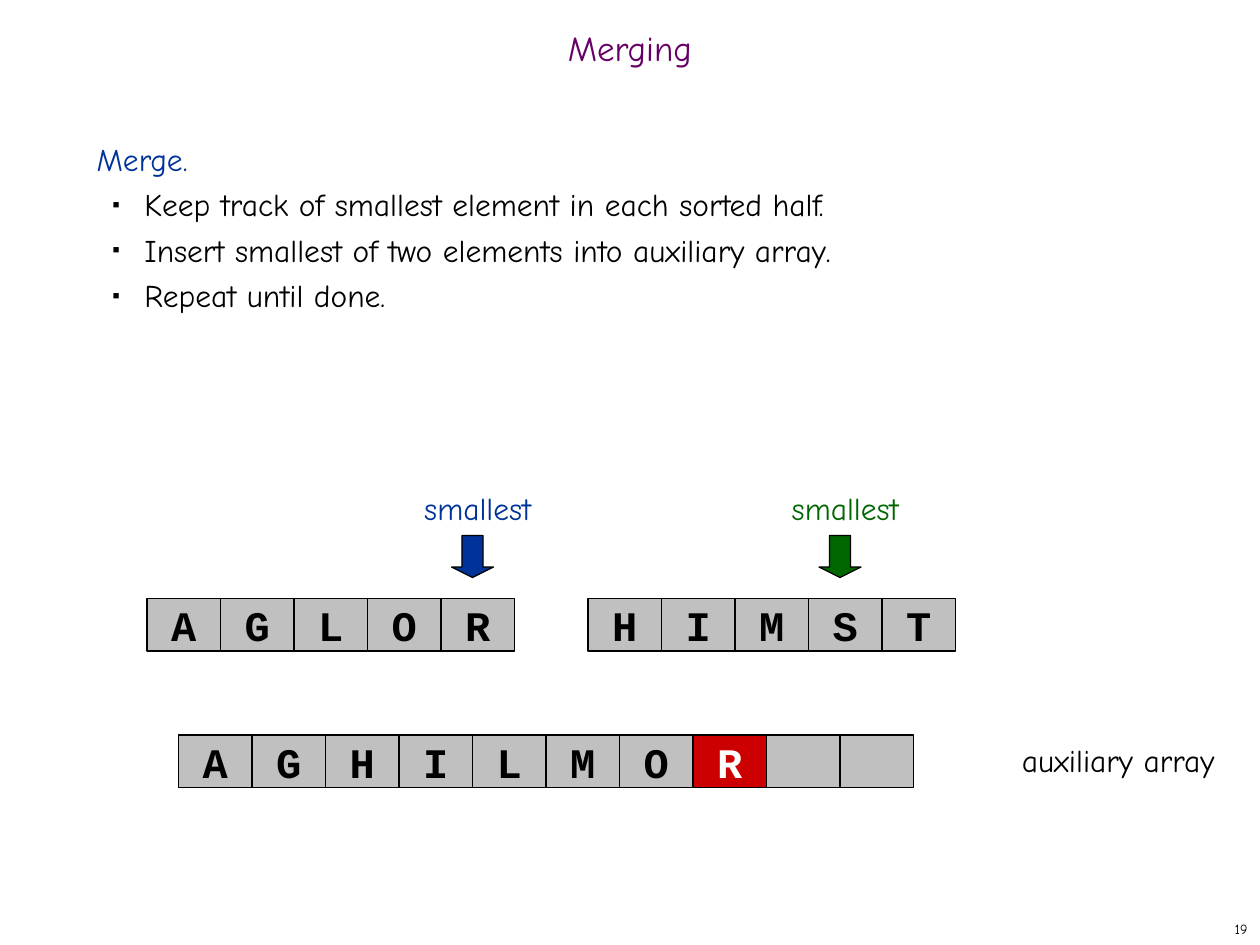
"""Build the slide that shows a merge step of two sorted arrays."""
from dataclasses import dataclass

from lxml import etree
from pptx import Presentation, util as u
from pptx.dml.color import RGBColor
from pptx.enum import shapes, text
from pptx.oxml.ns import qn

PX = u.Inches(1) // 120
CELL_W, CELL_H = 70, 50
BODY_FONT, CELL_FONT = "Comic Neue", "Courier New"
BLACK = RGBColor(0x00, 0x00, 0x00)
WHITE = RGBColor(0xFF, 0xFF, 0xFF)
OUTLINE = RGBColor(0x01, 0x00, 0x00)
PURPLE = RGBColor(0x66, 0x00, 0x66)
BLUE = RGBColor(0x00, 0x33, 0x99)
GREEN = RGBColor(0x00, 0x66, 0x00)
GRAY = RGBColor(0xC0, 0xC0, 0xC0)
RED = RGBColor(0xCC, 0x00, 0x00)
CENTER, LEFT, RIGHT = text.PP_ALIGN.CENTER, text.PP_ALIGN.LEFT, text.PP_ALIGN.RIGHT
TOP, MIDDLE = text.MSO_ANCHOR.TOP, text.MSO_ANCHOR.MIDDLE


@dataclass(frozen=True)
class Array:
    """A row of letter cells, with an optional highlighted index."""
    left: int
    top: int
    letters: str
    size: int
    current: int = -1


@dataclass(frozen=True)
class Pointer:
    """A labelled arrow above the smallest remaining element."""
    left: int
    color: RGBColor


ARRAYS = (
    Array(140, 570, "AGLOR", 5),
    Array(560, 570, "HIMST", 5),
    Array(170, 700, "AGHILMOR", 10, current=7),
)
POINTERS = (Pointer(330, BLUE), Pointer(680, GREEN))
STEPS = (
    "Keep track of smallest element in each sorted half.",
    "Insert smallest of two elements into auxiliary array.",
    "Repeat until done.",
)


def box(*lengths: int) -> list[u.Emu]:
    """Turn px lengths into EMU."""
    return [u.Emu(length * PX) for length in lengths]


def write(paragraph, words: str, *, size=18, color=BLACK, font=BODY_FONT,
          bold=False, align=CENTER, before=0, spacing=None) -> None:
    """Put formatted words into a paragraph."""
    paragraph.alignment = align
    paragraph.space_before = u.Pt(before)
    if spacing is not None:
        paragraph.line_spacing = spacing
    run = paragraph.add_run()
    run.text = words
    run.font.size, run.font.name, run.font.bold = u.Pt(size), font, bold
    run.font.color.rgb = color


def add_label(slide, place: tuple[int, ...], words: str, *, anchor=TOP, **style) -> None:
    """Add a wrapped text box."""
    frame = slide.shapes.add_textbox(*box(*place)).text_frame
    frame.word_wrap, frame.vertical_anchor = True, anchor
    write(frame.paragraphs[0], words, **style)


def add_block(slide, kind, place: tuple[int, ...], fill: RGBColor, line: RGBColor):
    """Add a filled and outlined preset shape."""
    block = slide.shapes.add_shape(kind, *box(*place))
    block.shadow.inherit = False
    block.fill.solid()
    block.fill.fore_color.rgb = fill
    block.line.color.rgb, block.line.width = line, u.Pt(0.75)
    return block


def add_array(slide, array: Array) -> None:
    """Draw an array, leaving the cells beyond its letters empty."""
    for index, letter in enumerate(array.letters.ljust(array.size)):
        current = index == array.current
        place = (array.left + index * CELL_W, array.top, CELL_W, CELL_H)
        cell = add_block(slide, shapes.MSO_SHAPE.RECTANGLE, place,
                         RED if current else GRAY, BLACK)
        if letter.strip():
            frame = cell.text_frame
            frame.word_wrap, frame.vertical_anchor = False, MIDDLE
            write(frame.paragraphs[0], letter, size=24, font=CELL_FONT, bold=True,
                  color=WHITE if current else BLACK)


def add_pointer(slide, pointer: Pointer) -> None:
    """Draw a label with a down arrow below it."""
    add_label(slide, (pointer.left, 460, 250, 48), "smallest",
              color=pointer.color, before=11.2)
    arrow = add_block(slide, shapes.MSO_SHAPE.DOWN_ARROW,
                      (pointer.left + 100, 510, 40, 40), pointer.color, OUTLINE)
    arrow.adjustments[0], arrow.adjustments[1] = 0.5, 0.25


def place_holder(holder, place: tuple[int, ...], anchor):
    """Move a placeholder and return its text frame."""
    holder.left, holder.top, holder.width, holder.height = box(*place)
    frame = holder.text_frame
    frame.auto_size, frame.vertical_anchor = text.MSO_AUTO_SIZE.NONE, anchor
    return frame


def set_bullet(paragraph, mark: str = "") -> None:
    """Give a paragraph a small square bullet, or none."""
    props = paragraph._p.get_or_add_pPr()
    props.set("marL", str(u.Inches(0.38) if mark else 0))
    props.set("indent", str(u.Inches(-0.25) if mark else 0))
    if not mark:
        etree.SubElement(props, qn("a:buNone"))
        return
    color = etree.SubElement(props, qn("a:buClr"))
    etree.SubElement(color, qn("a:srgbClr"), val=str(BLACK))
    etree.SubElement(props, qn("a:buSzPct"), val="35000")
    etree.SubElement(props, qn("a:buChar"), char=mark)


def main() -> None:
    """Build and save the slide."""
    deck = Presentation()
    deck.slide_width, deck.slide_height = box(1200, 900)
    slide = deck.slides.add_slide(deck.slide_layouts[1])
    title, body = slide.placeholders

    heading = place_holder(title, (0, 20, 1200, 60), MIDDLE)
    write(heading.paragraphs[0], "Merging", size=20, color=PURPLE, spacing=0.7)

    outline = place_holder(body, (80, 120, 1030, 710), TOP)
    lead = outline.paragraphs[0]
    write(lead, "Merge.", color=BLUE, align=LEFT, spacing=u.Pt(26))
    set_bullet(lead)
    for step in STEPS:
        item = outline.add_paragraph()
        item.level = 1
        write(item, step, align=LEFT, spacing=u.Pt(26))
        set_bullet(item, "■")

    for pointer in POINTERS:
        add_pointer(slide, pointer)
    for array in ARRAYS:
        add_array(slide, array)
    add_label(slide, (950, 700, 230, 48), "auxiliary array", before=11.2)
    add_label(slide, (950, 870, 250, 30), "19", size=8, align=RIGHT, anchor=MIDDLE)
    deck.save("out.pptx")


if __name__ == "__main__":
    main()
